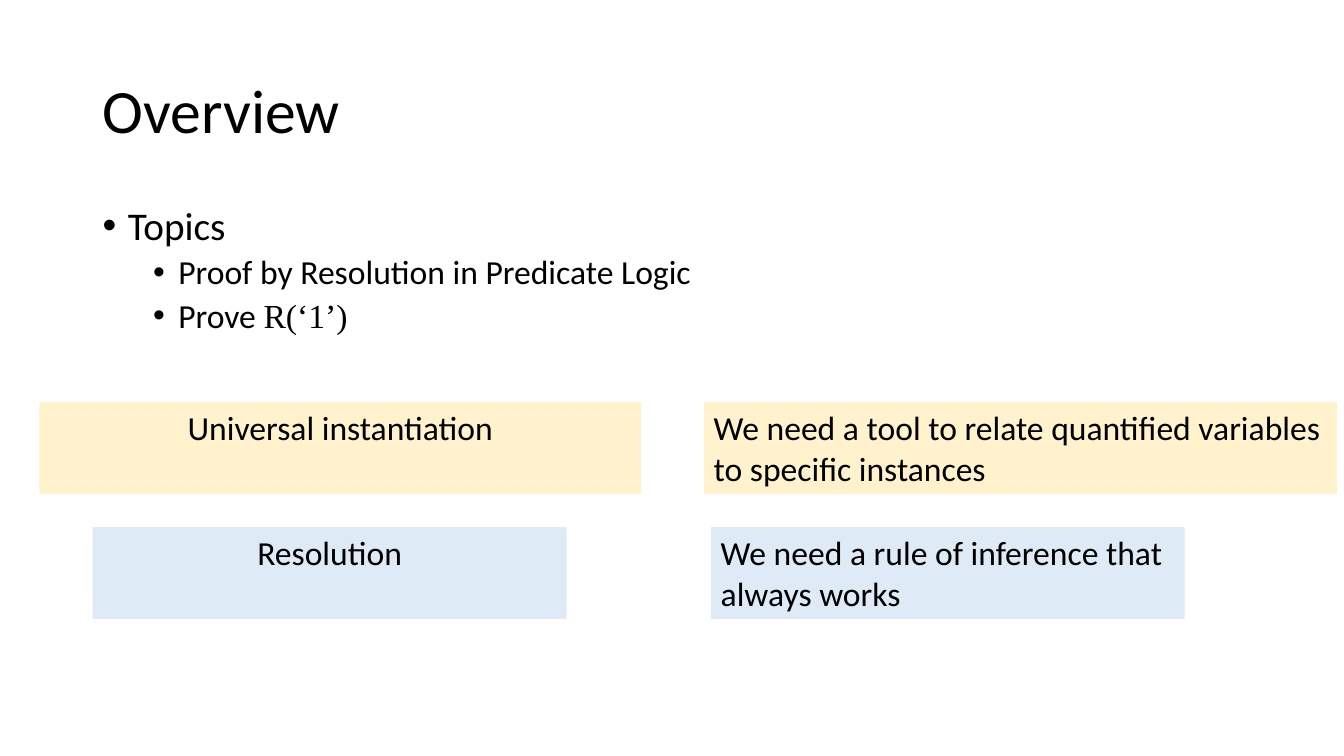
"""Build the overview slide on proof by resolution in predicate logic."""
import dataclasses
import typing

import lxml.etree
import pptx
import pptx.dml.color
import pptx.enum.shapes
import pptx.enum.text
import pptx.oxml.ns
import pptx.util

Inches = pptx.util.Inches
Pt = pptx.util.Pt
Align = pptx.enum.text.PP_ALIGN
Anchor = pptx.enum.text.MSO_ANCHOR


@dataclasses.dataclass(frozen=True)
class Theme:
    """Fonts, type sizes in points and colours."""
    body_font: str = "Calibri"
    formula_font: str = "Times New Roman"
    title_size: int = 44
    topic_size: int = 28
    text_size: int = 24
    ink: str = "000000"
    yellow: str = "FFF2CC"
    blue: str = "DEEBF7"


THEME = Theme()


@dataclasses.dataclass(frozen=True)
class Span:
    """A stretch of text in one font."""
    text: str
    font: str = THEME.body_font


@dataclasses.dataclass(frozen=True)
class Para:
    """A paragraph with its size, spacing and optional bullet indent."""
    spans: tuple[Span, ...]
    size: int = THEME.text_size
    level: int = 0
    indent: float | None = None
    formats: dict[str, typing.Any] = dataclasses.field(default_factory=dict)


@dataclasses.dataclass(frozen=True)
class Panel:
    """A filled box, in inches, with one paragraph per line."""
    left: float
    top: float
    width: float
    fill: str
    lines: tuple[str, ...]
    align: Align = Align.LEFT
    wrap: bool = True


PANEL_HEIGHT = 0.91
HANGING = 0.25
MARGIN, CONTENT_WIDTH = 0.92, 11.5
YELLOW_TOP, BLUE_TOP, BLUE_WIDTH = 3.99, 5.23, 4.7

TITLE = (Para((Span("Overview"),), THEME.title_size, formats={"line_spacing": 0.9}),)
TOPIC_FORMATS = {"line_spacing": 0.9, "space_before": Pt(10)}
SUBTOPIC_FORMATS = {"line_spacing": 0.9, "space_before": Pt(5)}
TOPICS = (
    Para((Span("Topics"),), THEME.topic_size, 0, 0.25, TOPIC_FORMATS),
    Para((Span("Proof by Resolution in Predicate Logic"),),
         level=1, indent=0.75, formats=SUBTOPIC_FORMATS),
    Para((Span("Prove "), Span("R(‘1’)", THEME.formula_font)),
         level=1, indent=0.75, formats=SUBTOPIC_FORMATS),
)
PANELS = (
    Panel(6.98, YELLOW_TOP, 6.28, THEME.yellow,
          ("We need a tool to relate quantified variables", "to specific instances"), wrap=False),
    Panel(7.05, BLUE_TOP, BLUE_WIDTH, THEME.blue,
          ("We need a rule of inference that", "always works"), wrap=False),
    Panel(0.39, YELLOW_TOP, 5.97, THEME.yellow, ("Universal instantiation",), Align.CENTER),
    Panel(MARGIN, BLUE_TOP, BLUE_WIDTH, THEME.blue, ("Resolution",), Align.CENTER),
)


def apply_formats(target: typing.Any, formats: dict[str, typing.Any]) -> None:
    """Set each named attribute on the target."""
    for name, value in formats.items():
        setattr(target, name, value)


def colour(value: str) -> pptx.dml.color.RGBColor:
    """Return the colour for a hex value."""
    return pptx.dml.color.RGBColor.from_string(value)


def add_bullet(paragraph: typing.Any, indent: float) -> None:
    """Give a paragraph a round bullet with a hanging indent."""
    properties = paragraph._p.get_or_add_pPr()
    properties.set("marL", str(Inches(indent)))
    properties.set("indent", str(-Inches(HANGING)))
    for tag, key, value in (("a:buFont", "typeface", "Arial"), ("a:buChar", "char", "•")):
        element = lxml.etree.SubElement(properties, pptx.oxml.ns.qn(tag))
        element.set(key, value)


def write(frame: typing.Any, paras: typing.Sequence[Para]) -> None:
    """Write paragraphs into a text frame."""
    for index, para in enumerate(paras):
        paragraph = frame.add_paragraph() if index else frame.paragraphs[0]
        apply_formats(paragraph, {"level": para.level, **para.formats})
        if para.indent is not None:
            add_bullet(paragraph, para.indent)
        for span in para.spans:
            run = paragraph.add_run()
            run.text = span.text
            apply_formats(run.font, {"name": span.font, "size": Pt(para.size)})
            run.font.color.rgb = colour(THEME.ink)


def add_text(page: typing.Any, top: float, height: float, anchor: Anchor,
             paras: typing.Sequence[Para]) -> None:
    """Add a text box across the content width."""
    box = page.shapes.add_textbox(
        Inches(MARGIN), Inches(top), Inches(CONTENT_WIDTH), Inches(height))
    apply_formats(box.text_frame, {"word_wrap": True, "vertical_anchor": anchor})
    write(box.text_frame, paras)


def add_panel(page: typing.Any, panel: Panel) -> None:
    """Add a filled panel with its lines of text."""
    box = page.shapes.add_shape(
        pptx.enum.shapes.MSO_SHAPE.RECTANGLE, Inches(panel.left), Inches(panel.top),
        Inches(panel.width), Inches(PANEL_HEIGHT))
    box.shadow.inherit = False
    box.fill.solid()
    box.fill.fore_color.rgb = colour(panel.fill)
    box.line.fill.background()
    apply_formats(box.text_frame, {"word_wrap": panel.wrap, "vertical_anchor": Anchor.TOP})
    write(box.text_frame, [Para((Span(line),), formats={"alignment": panel.align})
                           for line in panel.lines])


def main() -> None:
    """Build and save the deck."""
    deck = pptx.Presentation()
    apply_formats(deck, {"slide_width": Inches(13.33), "slide_height": Inches(7.5)})
    page = deck.slides.add_slide(deck.slide_layouts[6])
    add_text(page, 0.4, 1.45, Anchor.MIDDLE, TITLE)
    add_text(page, 2, 4.76, Anchor.TOP, TOPICS)
    for panel in PANELS:
        add_panel(page, panel)
    deck.save("out.pptx")


if __name__ == "__main__":
    main()
